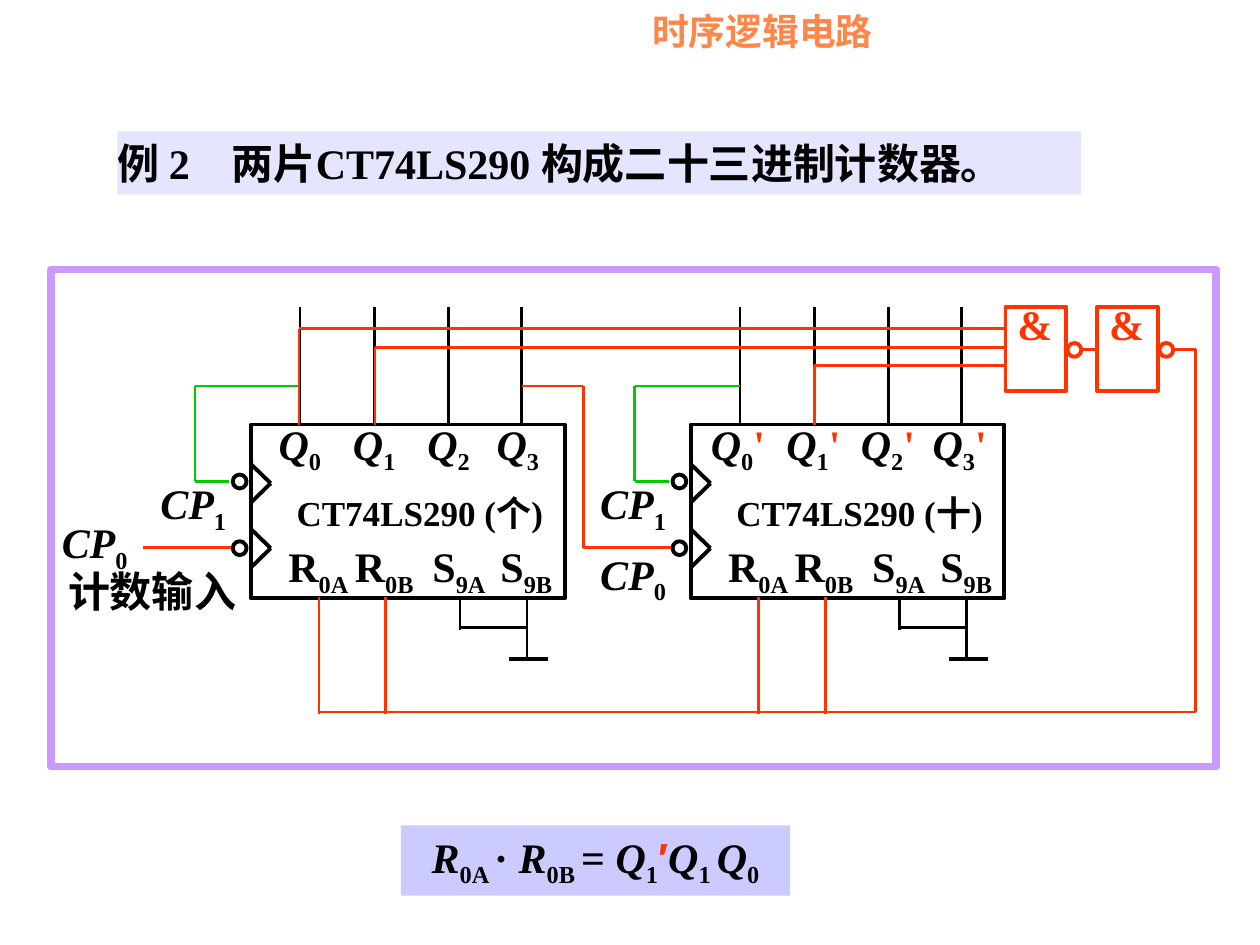
from dataclasses import dataclass

from lxml import etree
from pptx import Presentation
from pptx.dml.color import RGBColor
from pptx.enum.shapes import MSO_CONNECTOR, MSO_SHAPE
from pptx.enum.text import MSO_ANCHOR, MSO_AUTO_SIZE, PP_ALIGN
from pptx.oxml.ns import qn
from pptx.util import Pt

RECTANGLE, PROCESS, CIRCLE = MSO_SHAPE.RECTANGLE, MSO_SHAPE.FLOWCHART_PROCESS, MSO_SHAPE.OVAL
STRAIGHT = MSO_CONNECTOR.STRAIGHT
LEFT, CENTER = PP_ALIGN.LEFT, PP_ALIGN.CENTER
TOP, FIXED = MSO_ANCHOR.TOP, MSO_AUTO_SIZE.NONE

BLACK = RGBColor(0x00, 0x00, 0x00)
WHITE = RGBColor(0xFF, 0xFF, 0xFF)
RED = RGBColor(0xFF, 0x33, 0x00)
GREEN = RGBColor(0x00, 0xCC, 0x00)
ORANGE = RGBColor(0xFF, 0x86, 0x49)
PURPLE = RGBColor(0xCC, 0x99, 0xFF)
PALE_BLUE = RGBColor(0xCC, 0xCC, 0xFF)
MID_BLUE = RGBColor(0x99, 0x99, 0xFF)

THIN, THICK = 1.5, 2.25
BODY = {"name": "Times New Roman", "size": Pt(24), "bold": True, "italic": False}


@dataclass(frozen=True)
class Span:
    text: str
    italic: bool = False
    sub: bool = False
    color: RGBColor = BLACK
    size: float = 24
    font: str = "Times New Roman"


@dataclass(frozen=True)
class Chip:
    left: float
    digit: str
    q_labels: tuple[float, ...]
    prime: str
    cp0: tuple[float, float]


CHIPS = (
    Chip(143.4, "个", (15.8, 58.3, 100.8, 140.4), "", (35.3, 295.2)),
    Chip(394.7, "十", (11.5, 54.7, 97.2, 138.2), "'", (342.9, 313.2)),
)
CHIP_TOP, CHIP_WIDTH, CHIP_HEIGHT = 242.6, 179.3, 99.4
Q_PINS = (28.1, 70.6, 113, 154.8)
RESET_PINS = (38.9, 77)
INPUTS = (("R", "0A", 21.4, 34.5), ("R", "0B", 59.4, 33.8),
          ("S", "9A", 103.7, 30.2), ("S", "9B", 142.6, 29.5))
CLOCKS = (276.2, 313.3)
BUS = 406.8
GATES = (574.6, 627.1)

deck = Presentation()
deck.slide_width, deck.slide_height = Pt(720), Pt(540)
page = deck.slides.add_slide(deck.slide_layouts[6])


def write(box, spans: list[Span], align=LEFT, inset: float = 0, wrap: bool = False) -> None:
    frame = box.text_frame
    settings = {"margin_left": 0, "margin_right": 0, "margin_top": Pt(inset),
                "margin_bottom": Pt(inset), "word_wrap": wrap,
                "auto_size": FIXED, "vertical_anchor": TOP}
    for name, value in settings.items():
        setattr(frame, name, value)
    para = frame.paragraphs[0]
    para.alignment = align
    for item in spans:
        span = para.add_run()
        span.text = item.text
        style = BODY | {"name": item.font, "size": Pt(item.size), "italic": item.italic}
        for name, value in style.items():
            setattr(span.font, name, value)
        span.font.color.rgb = item.color
        if item.sub:
            span.font._element.set("baseline", "-25000")


def label(x: float, y: float, w: float, h: float, spans: list[Span], align=LEFT) -> None:
    write(page.shapes.add_textbox(Pt(x), Pt(y), Pt(w), Pt(h)), spans, align)


def outline(kind, x: float, y: float, w: float, h: float, color: RGBColor, weight: float = THICK) -> None:
    shape = page.shapes.add_shape(kind, Pt(x), Pt(y), Pt(w), Pt(h))
    shape.shadow.inherit = False
    shape.fill.background()
    shape.line.color.rgb = color
    shape.line.width = Pt(weight)


def panel(x: float, y: float, w: float, h: float, color: RGBColor, opacity: int = 100):
    shape = page.shapes.add_shape(RECTANGLE, Pt(x), Pt(y), Pt(w), Pt(h))
    shape.shadow.inherit = False
    shape.fill.solid()
    shape.fill.fore_color.rgb = color
    shape.line.fill.background()
    if opacity < 100:
        tint = shape._element.spPr.find(qn("a:solidFill"))[0]
        etree.SubElement(tint, qn("a:alpha"), val=str(opacity * 1000))
    return shape


def wire(color: RGBColor, *points: tuple[float, float], weight: float = THIN) -> None:
    for (x1, y1), (x2, y2) in zip(points, points[1:]):
        line = page.shapes.add_connector(STRAIGHT, Pt(x1), Pt(y1), Pt(x2), Pt(y2))
        line.line.color.rgb = color
        line.line.width = Pt(weight)
        etree.SubElement(line._element.spPr, qn("a:effectLst"))


def clock_label(x: float, y: float, index: str) -> None:
    label(x, y, 37.4, 33.1, [Span("CP", italic=True), Span(index, sub=True)])


def draw_chip(chip: Chip) -> None:
    x = chip.left
    outline(RECTANGLE, x, CHIP_TOP, CHIP_WIDTH, CHIP_HEIGHT, BLACK)
    label(x + 21.2, 280.8, 150.5, 23.8, [Span(f"CT74LS290 ({chip.digit})", size=20)], CENTER)

    # Outputs on top, reset and set inputs below
    for index, (pin, name_x) in enumerate(zip(Q_PINS, chip.q_labels)):
        wire(BLACK, (x + pin, 175.2), (x + pin, 241.6))
        spans = [Span("Q", italic=True), Span(str(index), sub=True)]
        if chip.prime:
            spans.append(Span(chip.prime, color=RED))
        label(x + name_x, 239, 31 if chip.prime else 24.5, 33.1, spans)
    for letter, index, name_x, width in INPUTS:
        label(x + name_x, 308.9, width, 33.1, [Span(letter), Span(index, sub=True)])
    for pin in RESET_PINS:
        wire(RED, (x + pin, 341.3), (x + pin, BUS + 1))

    # Grounded set inputs
    wire(BLACK, (x + 119.5, 340.6), (x + 119.5, 360))
    wire(BLACK, (x + 157.7, 340.6), (x + 157.7, 375.5))
    wire(BLACK, (x + 119.5, 358.7), (x + 157.7, 358.7))
    wire(BLACK, (x + 147.6, 376.4), (x + 169.6, 376.4), weight=THICK)

    # Clock inputs, with Q0 fed back to CP1
    for y in CLOCKS:
        outline(CIRCLE, x - 10.4, y - 5 + (y == CLOCKS[1]), 7.9, 7.9, BLACK)
        wire(BLACK, (x, y - 11), (x + 11.3, y), (x, y + 11), weight=THICK)
    clock_label(x - 51.8, 272.9, "1")
    clock_label(*chip.cp0, "0")
    wire(GREEN, (x + Q_PINS[0], 220.5), (x - 32, 220.5), (x - 32, 275), (x - 12.4, 275))


def draw_gate(x: float) -> None:
    outline(RECTANGLE, x, 175.3, 34.4, 48.2, RED)
    label(x + 6.7, 170.6, 20.2, 28.8, [Span("&", color=RED)])
    outline(CIRCLE, x + 35.4, 196, 7.9, 7.9, RED)


# Header and example title
header = panel(329.8, 8.6, 324, 22.3, WHITE)
write(header, [Span("时序逻辑电路", color=ORANGE, size=21)], inset=-3.6)
header.text_frame.margin_left = Pt(42.8)
title = panel(67, 75.1, 550.8, 36, PALE_BLUE, opacity=50)
write(title, [Span("例 2\u3000两片CT74LS290 构成二十三进制计数器。".replace("\u3000", "　"))], inset=3.6, wrap=True)

# Circuit frame, chips and gates
outline(PROCESS, 29, 154, 666, 284, PURPLE, 4.5)
label(38.9, 323.3, 95.8, 28.8, [Span("计数输入")])
for chip in CHIPS:
    draw_chip(chip)
for gate in GATES:
    draw_gate(gate)

# Count input and carry from the units chip to the tens chip
units, tens = (chip.left for chip in CHIPS)
carry = units + Q_PINS[3]
wire(RED, (82, 313), (132, 313))
wire(RED, (carry, 220.5), (333.4, 220.5), (333.4, 313), (383.2, 313))

# Q0, Q1 and Q1' into the first gate
for pin, y in ((units + Q_PINS[0] - 0.7, 187.9), (units + Q_PINS[1] + 0.4, 198.7),
               (tens + Q_PINS[1], 208.7)):
    wire(RED, (pin, 243), (pin, y), (GATES[0], y))

# Second gate back to the reset bus
wire(RED, (617.2, 199.7), (GATES[1], 199.7))
wire(RED, (669.9, 199.7), (683.2, 199.7), (683.2, BUS), (units + RESET_PINS[0], BUS))

# Reset equation
equation = panel(229, 471.6, 222.5, 40.3, MID_BLUE, opacity=50)
write(equation, [
    Span("R", italic=True), Span("0A ", sub=True), Span("· "),
    Span("R", italic=True), Span("0B ", sub=True), Span("= "),
    Span("Q", italic=True), Span("1", sub=True), Span("′", color=RED, font="Arial"),
    Span("Q", italic=True), Span("1 ", sub=True),
    Span("Q", italic=True), Span("0", sub=True),
], CENTER, inset=3.6, wrap=True)

deck.save("out.pptx")
